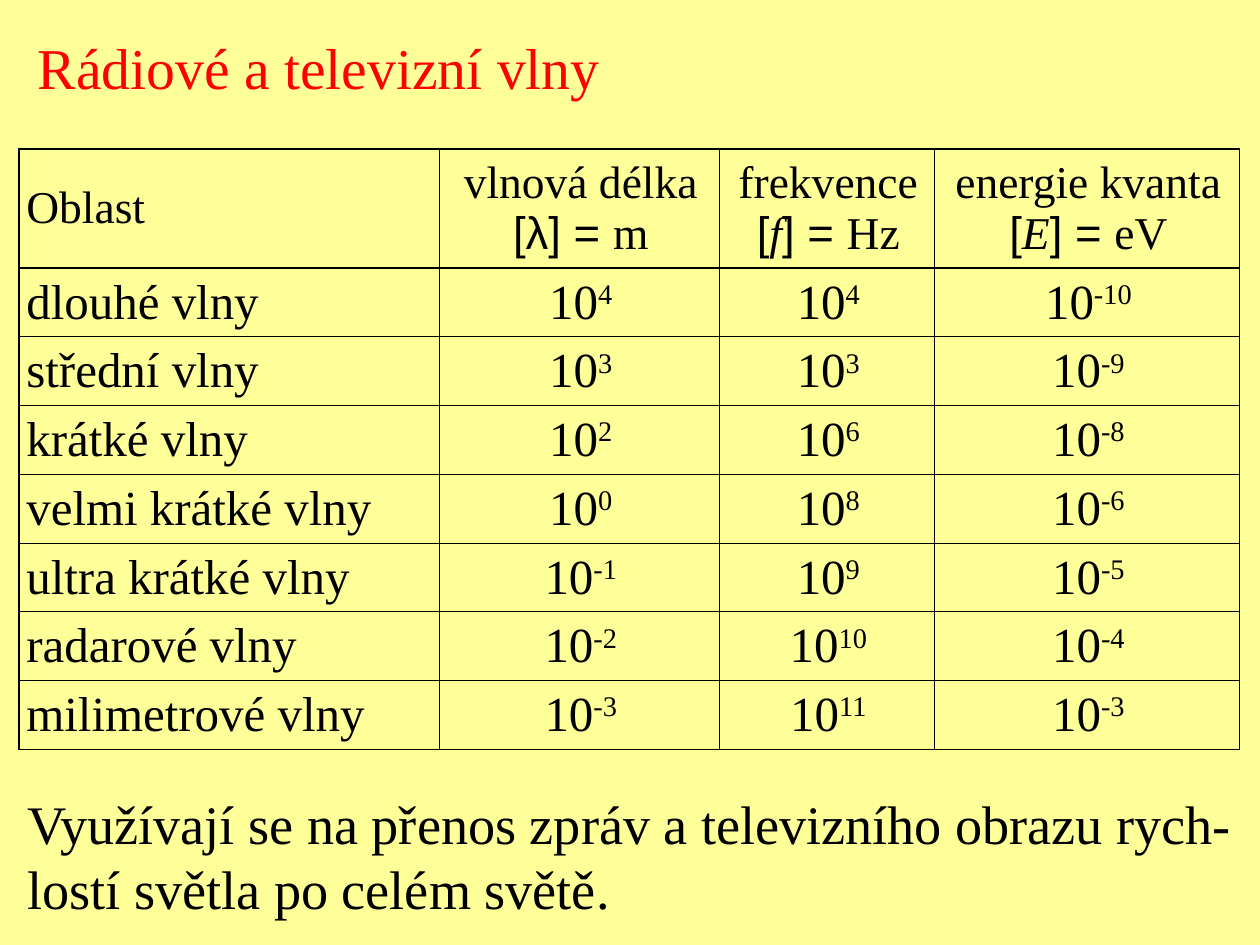
from pptx import Presentation
from pptx.dml import color
from pptx.enum import text
from pptx.oxml import ns
from pptx.util import Pt
from lxml import etree

SERIF = "Times New Roman"
BLACK = "000000"
THIN, THICK = 0.45, 1.08
SYMBOL = {"name": "Arial"}
ITALIC = {"italic": True}
COLUMN_WIDTHS = [240.5, 159.8, 123.1, 174.2]
HEADER_HEIGHT, ROW_HEIGHT = 68.2, 39.3
HEADERS = [
    [[("Oblast", {})]],
    [[("vlnová délka", {})], [("[λ] = ", SYMBOL), ("m", {})]],
    [[("frekvence", {})], [("[", SYMBOL), ("f", ITALIC), ("] = ", SYMBOL), ("Hz", {})]],
    [[("energie kvanta", {})], [("[", SYMBOL), ("E", ITALIC), ("] = ", SYMBOL), ("eV", {})]],
]
WAVES = [
    ("dlouhé vlny", 4, 4, -10),
    ("střední vlny", 3, 3, -9),
    ("krátké vlny", 2, 6, -8),
    ("velmi krátké vlny", 0, 8, -6),
    ("ultra krátké vlny", -1, 9, -5),
    ("radarové vlny", -2, 10, -4),
    ("milimetrové vlny", -3, 11, -3),
]


def rgb(value):
    return color.RGBColor.from_string(value)


def set_attributes(target, values):
    for name, value in values.items():
        setattr(target, name, value)


def write_paragraphs(frame, paragraphs, size, ink=BLACK, **paragraph_format):
    for index, runs in enumerate(paragraphs):
        paragraph = frame.paragraphs[0] if index == 0 else frame.add_paragraph()
        set_attributes(paragraph, paragraph_format)
        for words, changes in runs:
            run = paragraph.add_run()
            run.text = words
            font_format = {"name": SERIF, "size": Pt(size), **changes}
            baseline = font_format.pop("baseline", None)
            set_attributes(run.font, font_format)
            run.font.color.rgb = rgb(ink)
            if baseline:
                run._r.get_or_add_rPr().set("baseline", str(baseline))


def add_text(slide, left, top, width, height, lines, size, ink=BLACK, **paragraph_format):
    box = slide.shapes.add_textbox(Pt(left), Pt(top), Pt(width), Pt(height))
    set_attributes(box.text_frame, {
        "word_wrap": True, "auto_size": text.MSO_AUTO_SIZE.NONE})
    paragraphs = [[(line, {})] for line in lines]
    write_paragraphs(box.text_frame, paragraphs, size, ink, **paragraph_format)


def set_borders(cell, widths):
    properties = cell._tc.get_or_add_tcPr()
    for side, width in widths.items():
        line = etree.SubElement(properties, ns.qn(f"a:ln{side}"), w=str(int(Pt(width))))
        fill = etree.SubElement(line, ns.qn("a:solidFill"))
        etree.SubElement(fill, ns.qn("a:srgbClr"), val=BLACK)


def power_of_ten(exponent):
    return [[("10", {}), (str(exponent), {"baseline": 30000})]]


def add_wave_table(slide, left, top):
    rows = [HEADERS] + [
        [[[(name, {})]]] + [power_of_ten(exponent) for exponent in exponents]
        for name, *exponents in WAVES]
    heights = [HEADER_HEIGHT] + [ROW_HEIGHT] * len(WAVES)
    last_row, last_column = len(rows) - 1, len(COLUMN_WIDTHS) - 1
    table = slide.shapes.add_table(
        len(rows), len(COLUMN_WIDTHS), Pt(left), Pt(top),
        Pt(sum(COLUMN_WIDTHS)), Pt(sum(heights))).table
    set_attributes(table, {"first_row": False, "horz_banding": False})
    for column, width in zip(table.columns, COLUMN_WIDTHS):
        column.width = Pt(width)
    for r, (contents, height) in enumerate(zip(rows, heights)):
        table.rows[r].height = Pt(height)
        for c, paragraphs in enumerate(contents):
            cell = table.cell(r, c)
            set_attributes(cell, {
                "margin_left": Pt(4.3), "margin_right": Pt(2.9),
                "margin_top": Pt(3.6), "margin_bottom": Pt(3.6),
                "vertical_anchor": text.MSO_ANCHOR.MIDDLE})
            set_borders(cell, {
                "L": THICK if c == 0 else THIN,
                "R": THICK if c == last_column else THIN,
                "T": THICK if r <= 1 else THIN,
                "B": THICK if r in (0, last_row) else THIN})
            cell.fill.background()
            alignment = text.PP_ALIGN.CENTER if c else text.PP_ALIGN.LEFT
            write_paragraphs(cell.text_frame, paragraphs, 28 if r else 26,
                             alignment=alignment)


def main():
    presentation = Presentation()
    set_attributes(presentation, {"slide_width": Pt(720), "slide_height": Pt(540)})
    slide = presentation.slides.add_slide(presentation.slide_layouts[6])
    slide.background.fill.solid()
    slide.background.fill.fore_color.rgb = rgb("FFFF99")
    add_wave_table(slide, 10.8, 85)
    add_text(slide, 14.4, 14.4, 340, 46.8, ["Rádiové a televizní vlny"], 33,
             "FF0000", space_after=Pt(6.1))
    add_text(slide, 8.6, 447.8, 705.6, 82.1,
             ["Využívají se na přenos zpráv a televizního obrazu rych-",
              "lostí světla po celém světě."], 31)
    presentation.save("out.pptx")


if __name__ == "__main__":
    main()
